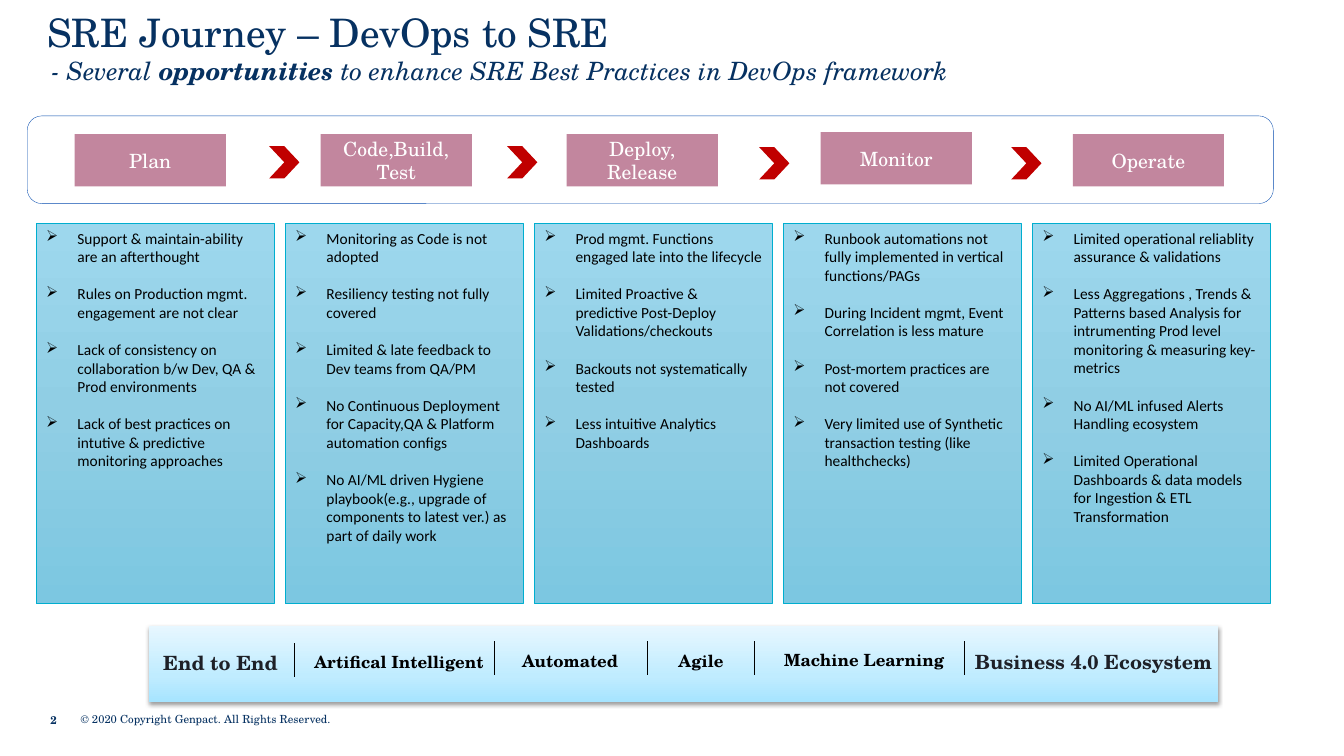
from lxml import etree
from pptx import Presentation
from pptx.dml.color import RGBColor
from pptx.enum.shapes import MSO_CONNECTOR as Connector, MSO_SHAPE as Preset
from pptx.enum.text import MSO_ANCHOR as Anchor, PP_ALIGN as Align
from pptx.oxml.ns import qn
from pptx.util import Inches, Pt

COLORS = {
    "navy": "063161", "footer": "073262", "ink": "1E2027", "black": "000000",
    "white": "FFFFFF", "frame": "054BAF", "phase": "C2869E",
    "chevron": "C00000", "panel_line": "00AECF",
}
PANEL_STOPS = [(0, "9DD7ED"), (50, "90CEE4"), (100, "7CC7E1")]
BANNER_STOPS = [(0, "A6E4FF"), (35, "C0ECFF"), (100, "E7F7FF")]
SERIF = "TeX Gyre Schola"


def add_text(paragraph, text, color, **font_format):
    run = paragraph.add_run()
    run.text = text
    run.font.color.rgb = RGBColor.from_string(COLORS[color])
    for attribute, value in ({"name": SERIF} | font_format).items():
        setattr(run.font, attribute, value)


def fill_gradient(shape, stops, angle):
    """Fill with any number of stops; the angle runs counter-clockwise."""
    shape.fill.gradient()
    shape.fill.gradient_angle = angle
    stop_list = shape._element.spPr.find(".//" + qn("a:gsLst"))
    for old_stop in list(stop_list):
        stop_list.remove(old_stop)
    for percent, color in stops:
        stop = etree.SubElement(stop_list, qn("a:gs"), pos=str(percent * 1000))
        etree.SubElement(stop, qn("a:srgbClr"), val=color)


prs = Presentation()
prs.slide_width, prs.slide_height = Inches(13.33), Inches(7.5)
slide = prs.slides.add_slide(prs.slide_layouts[6])
shapes = slide.shapes

# Footer
for left, width, text, bold, spacing in [
    (0.8, 2.54, "© 2020 Copyright Genpact. All Rights Reserved.", False, 0.9),
    (0.5, 0.25, "2", True, 1.0),
]:
    footer = shapes.add_textbox(Inches(left), Inches(7.04), Inches(width), Inches(0.21)).text_frame
    for attribute, value in {
        "margin_left": 0, "margin_right": 0, "margin_top": 0, "margin_bottom": 0,
        "word_wrap": True, "vertical_anchor": Anchor.MIDDLE,
    }.items():
        setattr(footer, attribute, value)
    footer.paragraphs[0].line_spacing = spacing
    add_text(footer.paragraphs[0], text, "footer", size=Pt(8), bold=bold)

# Title and subtitle
for left, top, height, size, italic, runs in [
    (0.36, 0.03, 0.58, 28, False, [("SRE Journey – DevOps to SRE", False)]),
    (0.4, 0.5, 0.41, 18, True, [
        ("- Several ", False),
        ("opportunities ", True),
        ("to enhance SRE Best Practices in DevOps framework", False),
    ]),
]:
    heading = shapes.add_textbox(Inches(left), Inches(top), Inches(12.6), Inches(height)).text_frame
    heading.word_wrap = True
    heading.margin_left = heading.margin_right = Inches(0.11)
    for text, bold in runs:
        add_text(heading.paragraphs[0], text, "navy", size=Pt(size), bold=bold, italic=italic)

# Phase strip
strip = shapes.add_shape(Preset.ROUNDED_RECTANGLE, Inches(0.27), Inches(1.15), Inches(12.36), Inches(0.87))
strip.shadow.inherit = False
strip.fill.background()
strip.line.color.rgb = RGBColor.from_string(COLORS["frame"])
strip.line.width = Pt(0.25)

phases = [
    (0.74, 1.33, "Plan", [
        "Support & maintain-ability are an afterthought",
        "Rules on Production mgmt. engagement are not clear",
        "Lack of consistency on collaboration b/w Dev, QA & Prod environments",
        "Lack of best practices on intutive & predictive monitoring approaches",
    ]),
    (3.18, 1.33, "Code,Build, Test", [
        "Monitoring as Code is not adopted",
        "Resiliency testing not fully covered",
        "Limited & late feedback to Dev teams from QA/PM",
        "No Continuous Deployment for Capacity,QA & Platform automation configs",
        "No AI/ML driven Hygiene playbook(e.g., upgrade of components to latest ver.) "
        "as part of daily work",
    ]),
    (5.62, 1.33, "Deploy, Release", [
        "Prod mgmt. Functions engaged late into the lifecycle",
        "Limited Proactive & predictive Post-Deploy Validations/checkouts",
        "Backouts not systematically tested",
        "Less intuitive Analytics Dashboards",
    ]),
    (8.14, 1.31, "Monitor", [
        "Runbook automations not fully implemented in vertical functions/PAGs",
        "During Incident mgmt, Event Correlation is less mature",
        "Post-mortem practices are not covered",
        "Very limited use of Synthetic transaction testing (like healthchecks)",
    ]),
    (10.64, 1.33, "Operate", [
        "Limited operational reliablity assurance & validations",
        "Less Aggregations , Trends & Patterns based Analysis for intrumenting "
        "Prod level monitoring & measuring key-metrics",
        "No AI/ML infused Alerts Handling ecosystem",
        "Limited Operational Dashboards & data models for Ingestion & ETL Transformation",
    ]),
]
for column, (left, top, phase, gaps) in enumerate(phases):
    label = shapes.add_shape(Preset.RECTANGLE, Inches(left), Inches(top), Inches(1.5), Inches(0.52))
    label.shadow.inherit = False
    label.fill.solid()
    label.fill.fore_color.rgb = RGBColor.from_string(COLORS["phase"])
    label.line.fill.background()
    label.text_frame.vertical_anchor = Anchor.MIDDLE
    label.text_frame.paragraphs[0].alignment = Align.CENTER
    add_text(label.text_frame.paragraphs[0], phase, "white", size=Pt(14))

    panel = shapes.add_shape(
        Preset.RECTANGLE, Inches(0.36 + 2.47 * column), Inches(2.22), Inches(2.36), Inches(3.77))
    panel.shadow.inherit = False
    fill_gradient(panel, PANEL_STOPS, 270)
    panel.line.color.rgb = RGBColor.from_string(COLORS["panel_line"])
    panel.line.width = Pt(0.5)
    panel.text_frame.vertical_anchor = Anchor.TOP
    for row, gap in enumerate(gaps):
        item = panel.text_frame.add_paragraph() if row else panel.text_frame.paragraphs[0]
        properties = item._p.get_or_add_pPr()
        properties.set("marL", str(Inches(0.31)))
        properties.set("indent", str(-Inches(0.31)))
        etree.SubElement(properties, qn("a:buChar"), char="➢")
        item.alignment = Align.LEFT
        if row:
            item.space_before = Pt(13.4)
        add_text(item, gap, "black", name="Calibri", size=Pt(11))

for left, top in [(2.67, 1.45), (5.03, 1.45), (7.53, 1.46), (10.03, 1.46)]:
    chevron = shapes.add_shape(Preset.CHEVRON, Inches(left), Inches(top), Inches(0.3), Inches(0.32))
    chevron.shadow.inherit = False
    chevron.fill.solid()
    chevron.fill.fore_color.rgb = RGBColor.from_string(COLORS["chevron"])
    chevron.line.fill.background()

# Ecosystem banner
banner = shapes.add_shape(Preset.RECTANGLE, Inches(1.48), Inches(6.21), Inches(10.6), Inches(0.76))
banner.shadow.inherit = False
fill_gradient(banner, BANNER_STOPS, 90)
banner.line.fill.background()
shadow = etree.SubElement(
    banner._element.spPr.find(qn("a:effectLst")), qn("a:outerShdw"),
    blurRad=str(Pt(3.1)), dist=str(Pt(1.6)), dir="5400000", rotWithShape="0")
shadow_color = etree.SubElement(shadow, qn("a:srgbClr"), val=COLORS["black"])
etree.SubElement(shadow_color, qn("a:alpha"), val="38000")

for left, top, width, height, text, size, color in [
    (1.52, 6.41, 1.68, 0.34, "End to End", 14, "ink"),
    (3.02, 6.42, 1.88, 0.3, "Artifical Intelligent", 12, "black"),
    (5.08, 6.41, 1.33, 0.3, "Automated", 12, "black"),
    (6.63, 6.41, 1.7, 0.3, "Agile", 12, "black"),
    (7.68, 6.4, 1.9, 0.3, "Machine Learning", 12, "black"),
    (9.57, 6.4, 2.62, 0.34, "Business 4.0 Ecosystem", 14, "ink"),
]:
    theme = shapes.add_textbox(Inches(left), Inches(top), Inches(width), Inches(height)).text_frame
    theme.word_wrap = True
    add_text(theme.paragraphs[0], text, color, size=Pt(size), bold=True)

for x, top in [(2.92, 6.38), (4.9, 6.36), (6.42, 6.36), (7.48, 6.36), (9.57, 6.36)]:
    divider = shapes.add_connector(
        Connector.STRAIGHT, Inches(x), Inches(top), Inches(x), Inches(top + 0.34))
    divider.line.color.rgb = RGBColor.from_string(COLORS["black"])
    divider.line.width = Pt(0.75)
    etree.SubElement(divider._element.spPr, qn("a:effectLst"))

prs.save("out.pptx")
